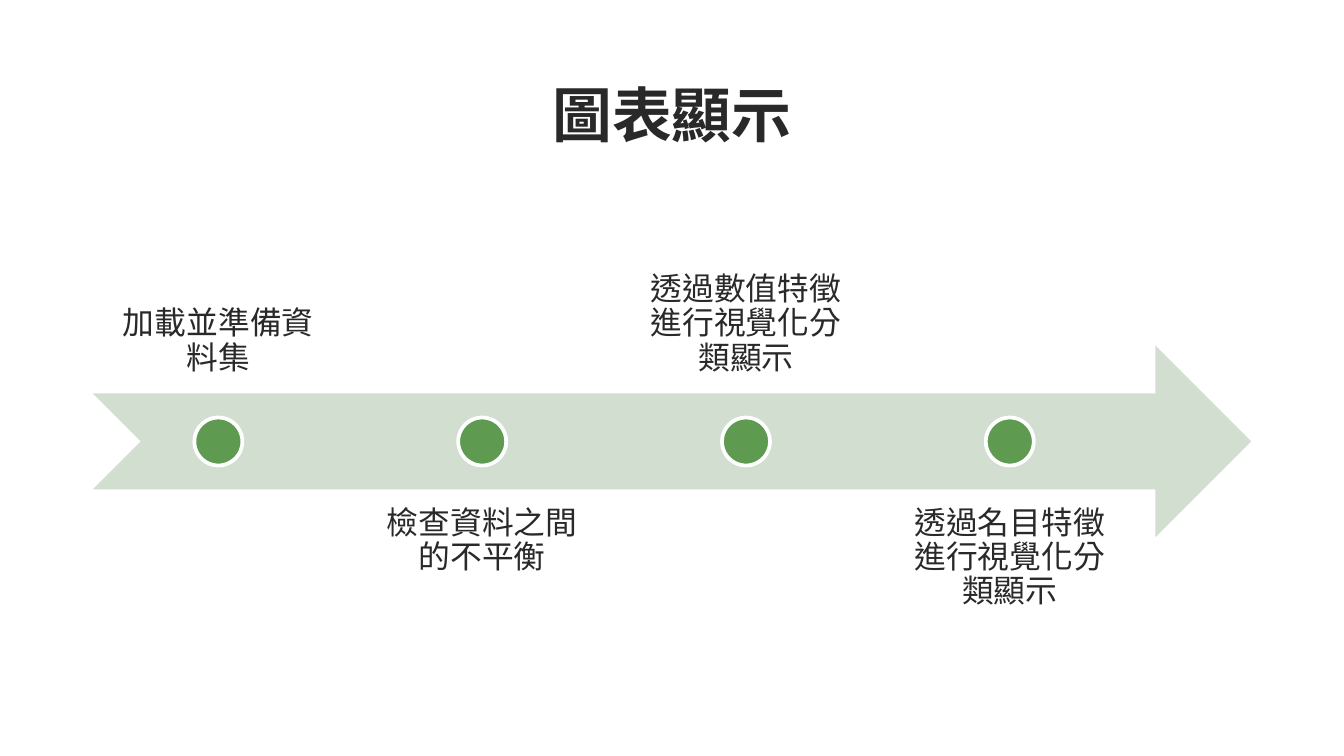
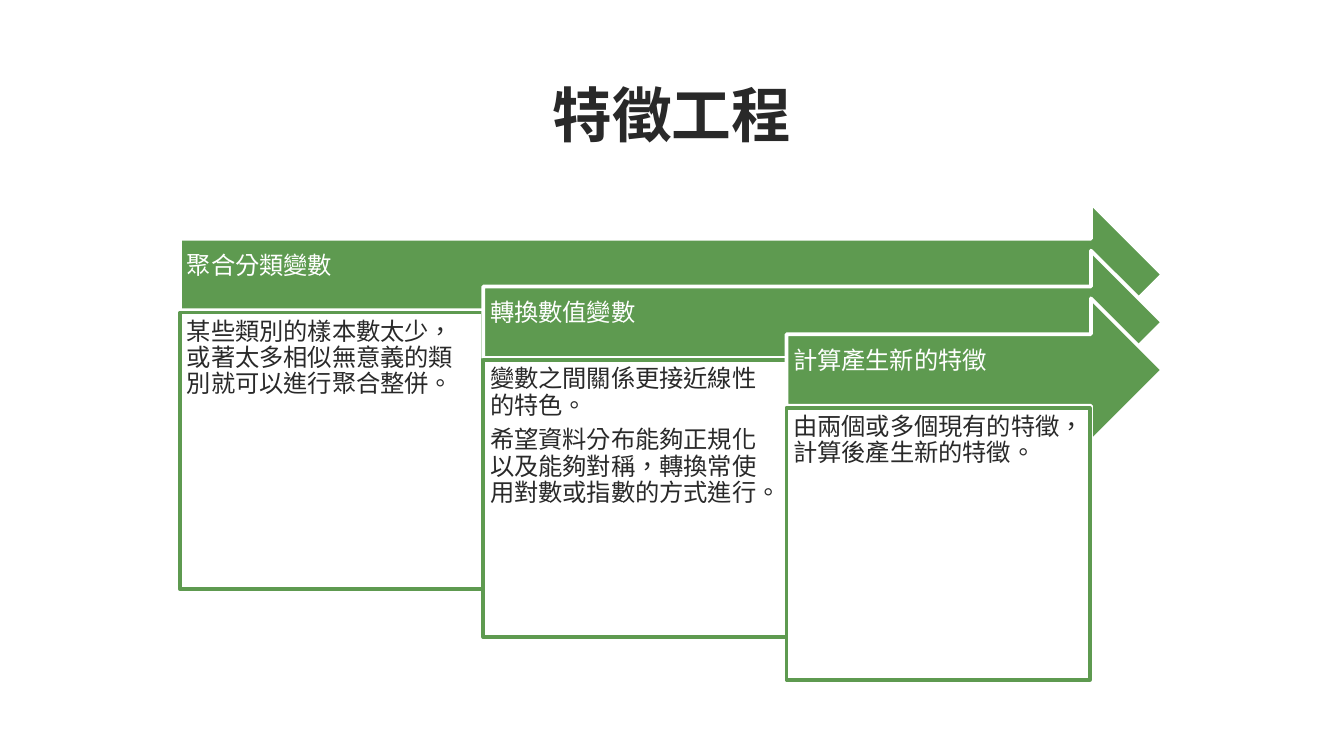
from collections import namedtuple

from pptx import Presentation
from pptx.dml.color import RGBColor
from pptx.enum.shapes import MSO_SHAPE as Preset
from pptx.enum.text import MSO_ANCHOR as Anchor, PP_ALIGN as Align
from pptx.util import Inches, Pt

# Shared style
SLIDE_WIDTH = 10
SLIDE_HEIGHT = SLIDE_WIDTH * 9 / 16
FONT, LANGUAGE = "Arial", "zh-TW"
INK, GREEN, PALE_GREEN, WHITE = "292929", "5E9A50", "D2DED0", "FFFFFF"
TITLE_SIZE, LABEL_SIZE, PANEL_SIZE = 32, 17, 13
OUTLINE = 2

Box = namedtuple("Box", "left top width height")
TITLE_BOX = Box(0.5, 0.46, 9, 0.77)
TIMELINE_BOX = Box(0.69, 1.5, 8.62, 3.57)
CASCADE_BOX = Box(1.34, 1.51, 7.31, 3.55)

# Slide content
TIMELINE_STEPS = [
    "加載並準備資料集",
    "檢查資料之間的不平衡",
    "透過數值特徵進行視覺化分類顯示",
    "透過名目特徵進行視覺化分類顯示",
]
CASCADE_STEPS = [
    ("聚合分類變數",
     ["某些類別的樣本數太少，或著太多相似無意義的類別就可以進行聚合整併。"]),
    ("轉換數值變數",
     ["變數之間關係更接近線性的特色。",
      "希望資料分布能夠正規化以及能夠對稱，轉換常使用對數或指數的方式進行。"]),
    ("計算產生新的特徵",
     ["由兩個或多個現有的特徵，計算後產生新的特徵。"]),
]


def color(hex_value):
    return RGBColor.from_string(hex_value)


def emu(box):
    return [Inches(length) for length in box]


def set_text(shape, lines, size, ink, align, anchor, insets, bold=False):
    frame = shape.text_frame
    frame.word_wrap = True
    frame.vertical_anchor = anchor
    (frame.margin_left, frame.margin_top,
     frame.margin_right, frame.margin_bottom) = [Inches(inset) for inset in insets]
    frame.text = "\n".join(lines)
    for paragraph in frame.paragraphs:
        paragraph.alignment = align
        for run in paragraph.runs:
            run.font.name = FONT
            run.font.size = Pt(size)
            run.font.bold = bold
            run.font.color.rgb = color(ink)
            # The language decides how Chinese punctuation is drawn
            run._r.get_or_add_rPr().set("lang", LANGUAGE)


def tighten(shape, size):
    for paragraph in shape.text_frame.paragraphs:
        paragraph.line_spacing = 0.9
        paragraph.space_after = Pt(0.35 * size)


def add_preset(shapes, preset, box, fill, line=None):
    shape = shapes.add_shape(preset, *emu(box))
    shape.shadow.inherit = False
    shape.fill.solid()
    shape.fill.fore_color.rgb = color(fill)
    if line:
        shape.line.color.rgb = color(line)
        shape.line.width = Pt(OUTLINE)
    else:
        shape.line.fill.background()
    return shape


def add_titled_slide(presentation, title_text):
    slide = presentation.slides.add_slide(presentation.slide_layouts[5])
    slide.background.fill.solid()
    slide.background.fill.fore_color.rgb = color(WHITE)
    title = slide.shapes.title
    title.left, title.top, title.width, title.height = emu(TITLE_BOX)
    set_text(title, [title_text], TITLE_SIZE, INK, Align.CENTER, Anchor.MIDDLE,
             (0.1, 0.04, 0.1, 0.04), bold=True)
    return slide


def add_timeline(slide, box, steps):
    shapes = slide.shapes.add_group_shape().shapes
    band = 0.4 * box.height
    dot = band / 4
    # Labels fill 90% of the width, with gaps of 5% of a label
    count = len(steps)
    label_width = 0.9 * box.width / (count + 0.05 * (count - 1))
    middle = box.top + box.height / 2

    # Arrow behind the steps
    add_preset(shapes, Preset.NOTCHED_RIGHT_ARROW,
               Box(box.left, middle - band / 2, box.width, band), PALE_GREEN)

    # Labels alternate above and below the dots
    for index, text in enumerate(steps):
        left = box.left + index * 1.05 * label_width
        above = index % 2 == 0
        top = box.top if above else box.top + box.height - band
        label = shapes.add_textbox(*emu(Box(left, top, label_width, band)))
        set_text(label, [text], LABEL_SIZE, INK, Align.CENTER,
                 Anchor.BOTTOM if above else Anchor.TOP, [0.13] * 4)
        tighten(label, LABEL_SIZE)
        add_preset(shapes, Preset.OVAL,
                   Box(left + (label_width - dot) / 2, middle - dot / 2, dot, dot),
                   GREEN, WHITE)


def add_cascade(slide, box, steps):
    shapes = slide.shapes.add_group_shape().shapes
    column = box.width / 3.24
    row = box.height / 10
    for index, (heading, lines) in enumerate(steps):
        left = box.left + index * column
        top = box.top + index * row
        # Arrow heading, reaching the right edge
        arrow = add_preset(shapes, Preset.RIGHT_ARROW,
                           Box(left, top, box.width - index * column, 3 * row),
                           GREEN, WHITE)
        set_text(arrow, [heading], PANEL_SIZE, WHITE, Align.LEFT, Anchor.MIDDLE,
                 (0.05, 0.05, 0.28, 0.17))
        # Panel below; the last one ends at the bottom of the box
        panel_top = top + 2.3 * row
        panel_height = min(5.8 * row, box.top + box.height - panel_top)
        panel = add_preset(shapes, Preset.RECTANGLE,
                           Box(left, panel_top, column, panel_height), WHITE, GREEN)
        set_text(panel, lines, PANEL_SIZE, INK, Align.LEFT, Anchor.TOP, [0.05] * 4)
        for shape in (arrow, panel):
            tighten(shape, PANEL_SIZE)


def main():
    presentation = Presentation()
    presentation.slide_width = Inches(SLIDE_WIDTH)
    presentation.slide_height = Inches(SLIDE_HEIGHT)
    add_timeline(add_titled_slide(presentation, "圖表顯示"), TIMELINE_BOX, TIMELINE_STEPS)
    add_cascade(add_titled_slide(presentation, "特徵工程"), CASCADE_BOX, CASCADE_STEPS)
    presentation.save("out.pptx")


if __name__ == "__main__":
    main()
